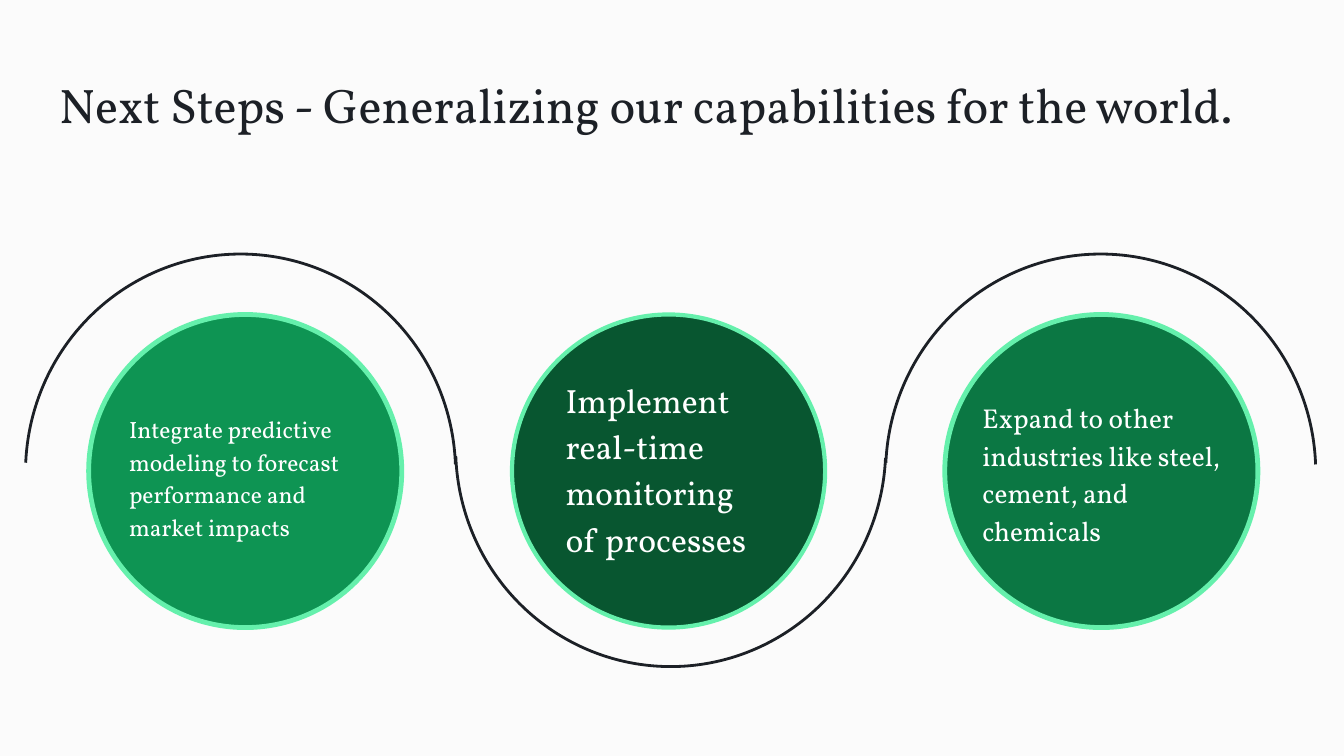
from dataclasses import dataclass
from typing import Any

from pptx import Presentation
from pptx.dml.color import RGBColor
from pptx.enum.shapes import MSO_SHAPE as Preset
from pptx.enum.text import MSO_ANCHOR as Anchor
from pptx.enum.text import MSO_AUTO_SIZE as AutoSize
from pptx.enum.text import PP_ALIGN as Align
from pptx.util import Inches, Pt

FONT = "Vollkorn"
INK, WHITE, MINT, PAPER = "1C2026", "FFFFFF", "65F0AC", "FBFBFB"
SLIDE_WIDTH = Inches(10)
SLIDE_HEIGHT = SLIDE_WIDTH * 9 // 16
CIRCLE_TOP, CIRCLE_SIZE = 2.34, 2.33
ARC_LEFT, ARC_WIDTH, ARC_HEIGHT = 0.19, 3.2, 3.25
ARC_ANGLES = (109.55, 214.73)


@dataclass(frozen=True)
class Area:
    left: float
    top: float
    width: float
    height: float

    def lengths(self) -> list[int]:
        return [Inches(n) for n in (self.left, self.top, self.width, self.height)]


@dataclass(frozen=True)
class Step:
    text: str
    circle_left: float
    fill: str
    border: float
    area: Area
    size: float
    inset: float


STEPS = [
    Step("Expand to other industries like steel, cement, and chemicals",
         7.03, "0B7743", 2.58, Area(7.2, 2.99, 2.08, 1.04), 14.6, 0.11),
    Step("Integrate predictive modeling to forecast performance and market impacts",
         0.66, "0E9453", 2.58, Area(0.85, 3.1, 1.81, 0.88), 12.6, 0.11),
    Step("Implement real-time monitoring of processes",
         3.81, "085630", 2.25, Area(4.11, 2.75, 1.66, 1.44), 18, 0.1),
]


def color(value: str) -> RGBColor:
    return RGBColor.from_string(value)


def apply(target: Any, values: dict[str, Any]) -> None:
    for name, value in values.items():
        setattr(target, name, value)


def write(box: Any, text: str, size: float, ink: str, inset: float, spacing: float) -> None:
    frame = box.text_frame
    sides = ("margin_left", "margin_top", "margin_right", "margin_bottom")
    apply(frame, dict.fromkeys(sides, Inches(inset)))
    apply(frame, {"word_wrap": True, "auto_size": AutoSize.NONE,
                  "vertical_anchor": Anchor.MIDDLE})
    para = frame.paragraphs[0]
    apply(para, {"alignment": Align.LEFT, "line_spacing": spacing,
                 "space_before": Pt(0), "space_after": Pt(0)})
    span = para.add_run()
    span.text = text
    apply(span.font, {"name": FONT, "size": Pt(size)})
    span.font.color.rgb = color(ink)


def add_outlined(page: Any, preset: Preset, area: Area, line: str, width: float) -> Any:
    shape = page.shapes.add_shape(preset, *area.lengths())
    shape.shadow.inherit = False
    shape.line.color.rgb = color(line)
    shape.line.width = Pt(width)
    return shape


def add_step(page: Any, step: Step) -> None:
    area = Area(step.circle_left, CIRCLE_TOP, CIRCLE_SIZE, CIRCLE_SIZE)
    circle = add_outlined(page, Preset.OVAL, area, MINT, step.border)
    circle.fill.solid()
    circle.fill.fore_color.rgb = color(step.fill)
    box = page.shapes.add_textbox(*step.area.lengths())
    write(box, step.text, step.size, WHITE, step.inset, 1.15)


def add_wave(page: Any, index: int) -> None:
    flipped = index % 2 == 1
    area = Area(ARC_LEFT + index * ARC_WIDTH, 1.71 if flipped else 1.89,
                ARC_WIDTH, ARC_HEIGHT)
    arc = add_outlined(page, Preset.ARC, area, INK, 1.5)
    arc.fill.background()
    for position, angle in enumerate(ARC_ANGLES):
        arc.adjustments[position] = angle
    arc.rotation = 180 if flipped else 0


def main() -> None:
    deck = Presentation()
    apply(deck, {"slide_width": SLIDE_WIDTH, "slide_height": SLIDE_HEIGHT})
    page = deck.slides.add_slide(deck.slide_layouts[5])
    page.background.fill.solid()
    page.background.fill.fore_color.rgb = color(PAPER)

    title = page.shapes.title
    place = Area(0.34, 0.49, 9.32, 0.63).lengths()
    apply(title, dict(zip(("left", "top", "width", "height"), place)))
    write(title, "Next Steps - Generalizing our capabilities for the world.",
          26, INK, 0.1, 0.85)

    for step in STEPS:
        add_step(page, step)
    for index in reversed(range(len(STEPS))):
        add_wave(page, index)
    deck.save("out.pptx")


if __name__ == "__main__":
    main()
